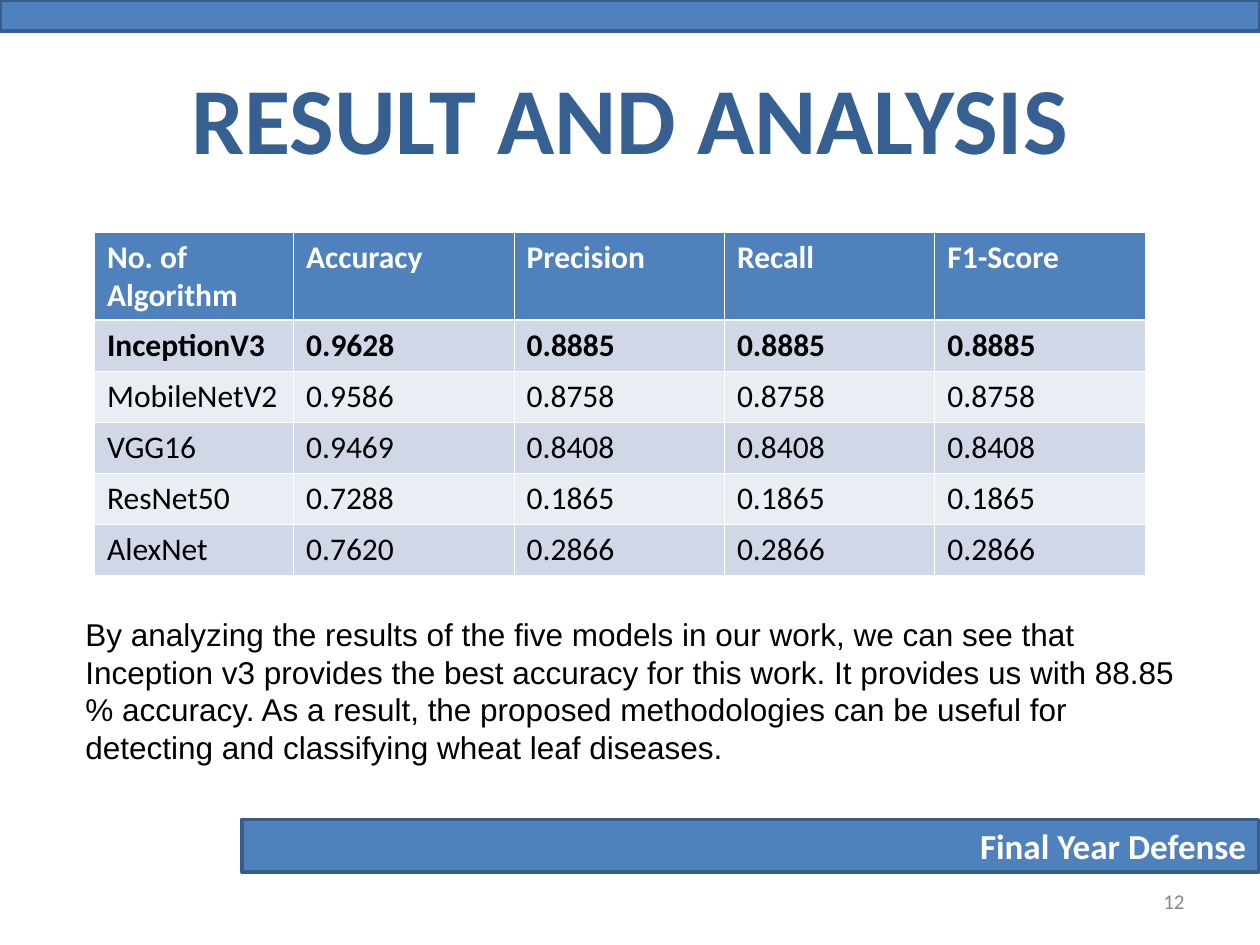
from dataclasses import dataclass

from lxml import etree
from pptx import Presentation
from pptx import util as u
from pptx.dml.color import RGBColor
from pptx.enum import shapes, text
from pptx.oxml.ns import qn


@dataclass(frozen=True)
class Theme:
    heading_font: str = "Calibri"
    body_font: str = "Arial"
    bar: str = "4F81BD"
    bar_edge: str = "385D8A"
    heading: str = "376092"
    ink: str = "000000"
    light: str = "FFFFFF"
    muted: str = "898989"
    bands: tuple = ("D0D8E8", "E9EDF4")
    title_size: int = 54
    footer_size: int = 20
    body_size: int = 18
    number_size: int = 12
    edge_width: float = 2
    thin_rule: float = 0.45
    header_rule: float = 1.47


THEME = Theme()
WIDTH, HEIGHT = u.Inches(10), u.Inches(7.5)
COLUMN_WIDTHS = (1.58, 1.75, 1.67, 1.67, 1.67)
HEADER_HEIGHT, ROW_HEIGHT = 0.7, 0.406
HEADERS = ("No. of Algorithm", "Accuracy", "Precision", "Recall", "F1-Score")
# Precision, recall and F1-score are equal for every model.
SCORES = (
    ("InceptionV3", "0.9628", "0.8885"),
    ("MobileNetV2", "0.9586", "0.8758"),
    ("VGG16", "0.9469", "0.8408"),
    ("ResNet50", "0.7288", "0.1865"),
    ("AlexNet", "0.7620", "0.2866"),
)
FINDING = (
    "By analyzing the results of the five models in our work, we can see that "
    "Inception v3 provides the best accuracy for this work. It provides us with "
    "88.85 % accuracy. As a result, the proposed methodologies can be useful for "
    "detecting and classifying wheat leaf diseases."
)


def share(left, top, width, height):
    """Turn shares of the slide's size into lengths."""
    return (int(left * WIDTH), int(top * HEIGHT),
            int(width * WIDTH), int(height * HEIGHT))


def write(frame, words, color, size, font=THEME.heading_font, bold=False,
          align=text.PP_ALIGN.LEFT, anchor=text.MSO_ANCHOR.MIDDLE):
    frame.word_wrap = True
    frame.vertical_anchor = anchor
    line = frame.paragraphs[0]
    line.alignment = align
    run = line.add_run()
    run.text = words
    looks = {"name": font, "size": u.Pt(size), "bold": bold}
    for key, value in looks.items():
        setattr(run.font, key, value)
    run.font.color.rgb = RGBColor.from_string(color)


def add_bar(slide, area):
    bar = slide.shapes.add_shape(shapes.MSO_SHAPE.RECTANGLE, *area)
    bar.shadow.inherit = False
    bar.fill.solid()
    bar.fill.fore_color.rgb = RGBColor.from_string(THEME.bar)
    bar.line.color.rgb = RGBColor.from_string(THEME.bar_edge)
    bar.line.width = u.Pt(THEME.edge_width)
    return bar


def add_words(slide, area, words, **looks):
    box = slide.shapes.add_textbox(*area)
    write(box.text_frame, words, **looks)


def rule_cell(cell, **widths):
    """Draw white borders; widths in points are keyed by side (L, R, T, B)."""
    properties = cell._tc.get_or_add_tcPr()
    for side in "LRTB":
        width = u.Pt(widths.get(side, THEME.thin_rule))
        border = etree.SubElement(properties, qn(f"a:ln{side}"), w=str(int(width)))
        fill = etree.SubElement(border, qn("a:solidFill"))
        etree.SubElement(fill, qn("a:srgbClr"), val=THEME.light)


def add_score_table(slide):
    rows = [HEADERS] + [(model, accuracy, score, score, score)
                        for model, accuracy, score in SCORES]
    heights = [HEADER_HEIGHT] + [ROW_HEIGHT] * len(SCORES)
    table = slide.shapes.add_table(
        len(rows), len(HEADERS), u.Inches(0.75), u.Inches(1.84),
        u.Inches(sum(COLUMN_WIDTHS)), u.Inches(sum(heights))).table
    for column, width in zip(table.columns, COLUMN_WIDTHS):
        column.width = u.Inches(width)

    for r, (values, height) in enumerate(zip(rows, heights)):
        table.rows[r].height = u.Inches(height)
        header, best = r == 0, r == 1
        rules = {"B": THEME.header_rule} if header else {}
        if best:
            rules = {"T": THEME.header_rule}
        band = THEME.bar if header else THEME.bands[(r - 1) % 2]
        for c, value in enumerate(values):
            cell = table.cell(r, c)
            rule_cell(cell, **rules)
            cell.fill.solid()
            cell.fill.fore_color.rgb = RGBColor.from_string(band)
            cell.vertical_anchor = text.MSO_ANCHOR.TOP
            write(cell.text_frame, value, THEME.light if header else THEME.ink,
                  THEME.body_size, bold=header or best, anchor=None)


def main():
    deck = Presentation()
    deck.slide_width, deck.slide_height = WIDTH, HEIGHT
    slide = deck.slides.add_slide(deck.slide_layouts[6])

    footer = add_bar(slide, share(0.192, 0.867, 0.807, 0.056))
    write(footer.text_frame, "Final Year Defense", THEME.light,
          THEME.footer_size, bold=True, align=text.PP_ALIGN.RIGHT)
    add_bar(slide, share(0, 0, 1, 0.033))

    add_words(slide, share(0.05, 0.04, 0.9, 0.167), "RESULT AND ANALYSIS",
              color=THEME.heading, size=THEME.title_size, bold=True,
              align=text.PP_ALIGN.CENTER)
    add_words(slide, share(0.717, 0.927, 0.233, 0.053), "12",
              color=THEME.muted, size=THEME.number_size,
              align=text.PP_ALIGN.RIGHT)
    add_score_table(slide)
    add_words(slide, share(0.058, 0.644, 0.892, 0.213), FINDING,
              color=THEME.ink, size=THEME.body_size, font=THEME.body_font,
              anchor=text.MSO_ANCHOR.TOP)

    deck.save("out.pptx")


if __name__ == "__main__":
    main()
